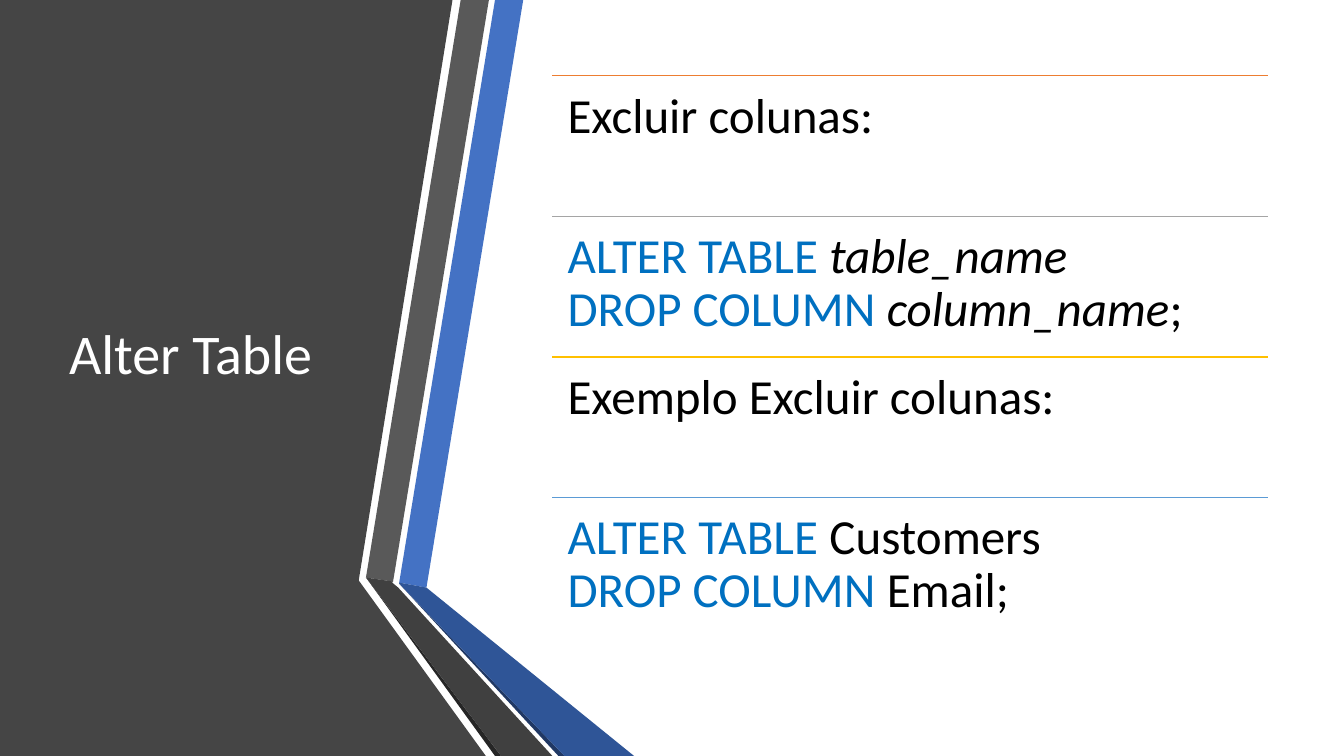
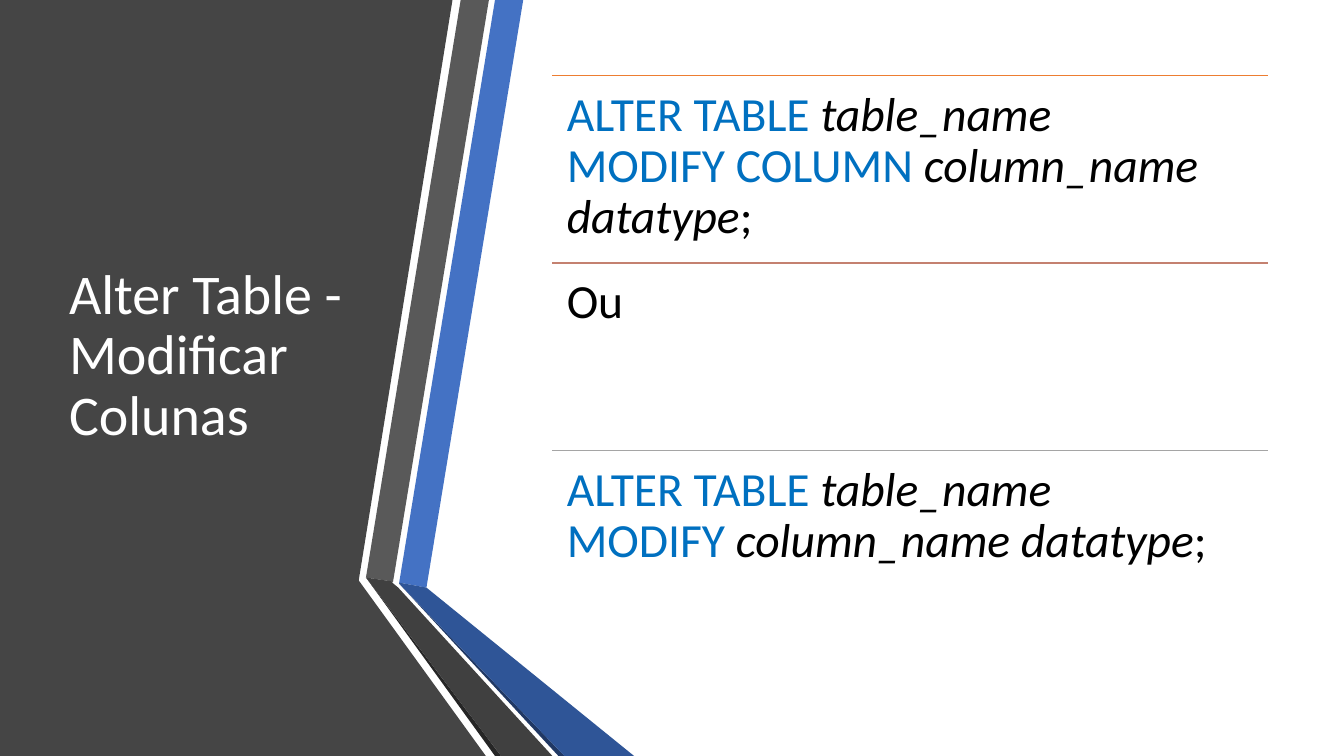
from pptx import Presentation, util as u
from pptx.dml.color import RGBColor
from pptx.enum import shapes, text
from lxml import etree

WHITE = RGBColor(0xFF, 0xFF, 0xFF)
BLACK = RGBColor(0x00, 0x00, 0x00)
CODE_BLUE = RGBColor(0x00, 0x70, 0xC0)
PANEL = RGBColor(0x45, 0x45, 0x45)
BLUE = RGBColor(0x44, 0x72, 0xC4)
DARK_BLUE = RGBColor(0x2F, 0x55, 0x97)
NAVY = RGBColor(0x20, 0x38, 0x64)
GRAY = RGBColor(0x59, 0x59, 0x59)
DARK_GRAY = RGBColor(0x40, 0x40, 0x40)
CHARCOAL = RGBColor(0x26, 0x26, 0x26)
ORANGE = RGBColor(0xED, 0x7D, 0x31)
SILVER = RGBColor(0xA5, 0xA5, 0xA5)
GOLD = RGBColor(0xFF, 0xC0, 0x00)
SKY = RGBColor(0x5B, 0x9B, 0xD5)
ROSE = RGBColor(0xC4, 0x81, 0x70)

FONT = "Calibri"

# All lengths are percentages of the slide's width (x) or height (y).
TOP, HEIGHT = 10, 74.4
TITLE_LEFT, TITLE_WIDTH = 4.4, 22.8
BODY_LEFT, BODY_WIDTH = 41.1, 53.25

RIBBONS = [
    (PANEL, [(0, 0), (33.67, 0), (26.7, 76.7), (26.7, 76.8), (36.15, 100), (0, 100)]),
    (BLUE, [(29.7, 77.07), (31.73, 77.73), (38.93, 0), (36.83, 0)]),
    (GRAY, [(36.38, 0), (34.28, 0), (27.23, 76.4), (29.25, 76.93)]),
    (CHARCOAL, [(27.23, 76.4), (36.83, 100), (37.28, 100)]),
    (NAVY, [(29.7, 77.2), (41.55, 100), (42, 100)]),
    (DARK_BLUE, [(29.7, 77.2), (42, 100), (47.18, 100), (31.73, 77.73), (29.7, 77.07)]),
    (DARK_GRAY, [(41.1, 100), (29.63, 77.73), (29.18, 77.07), (29.25, 76.93),
                 (27.23, 76.4), (37.28, 100)]),
]


def write(p, content, size=35, color=BLACK, italic=False):
    """Add text to a paragraph, turning newlines into line breaks."""
    for i, part in enumerate(content.split("\n")):
        if i:
            p.add_line_break()
        if part:
            r = p.add_run()
            r.text = part
            r.font.name, r.font.size = FONT, u.Pt(size)
            r.font.color.rgb, r.font.italic = color, italic


class Deck:
    """Holds the presentation, its style and the current slide."""

    def __init__(self):
        self.prs = Presentation()
        self.prs.slide_width, self.prs.slide_height = u.Inches(13.33), u.Inches(7.5)
        self.s = None

    def x(self, share):
        return u.Emu(round(self.prs.slide_width * share / 100))

    def y(self, share):
        return u.Emu(round(self.prs.slide_height * share / 100))

    def new_slide(self, title):
        self.s = self.prs.slides.add_slide(self.prs.slide_layouts[6])
        for color, points in RIBBONS:
            self.ribbon(color, points)
        p = self.box(TITLE_LEFT, TOP, TITLE_WIDTH, HEIGHT, anchor=text.MSO_ANCHOR.MIDDLE)
        write(p, title, size=40, color=WHITE)

    def ribbon(self, color, points):
        start, *rest = [(self.x(px), self.y(py)) for px, py in points]
        builder = self.s.shapes.build_freeform(*start)
        builder.add_line_segments(rest, close=True)
        sp = builder.convert_to_shape()
        sp.shadow.inherit = False
        sp.fill.solid()
        sp.fill.fore_color.rgb = color
        sp.line.fill.background()

    def box(self, left, top, width, height, anchor=text.MSO_ANCHOR.TOP, inset=None):
        """Add a text box and return its first paragraph."""
        sp = self.s.shapes.add_textbox(self.x(left), self.y(top), self.x(width), self.y(height))
        tf = sp.text_frame
        tf.word_wrap, tf.vertical_anchor = True, anchor
        if inset is not None:
            tf.margin_left = tf.margin_top = tf.margin_right = tf.margin_bottom = self.y(inset)
        p = tf.paragraphs[0]
        p.line_spacing = 0.9
        return p

    def rule(self, top, color):
        line = self.s.shapes.add_connector(
            shapes.MSO_CONNECTOR.STRAIGHT, self.x(BODY_LEFT), self.y(top),
            self.x(BODY_LEFT + BODY_WIDTH), self.y(top))
        line.line.color.rgb, line.line.width = color, u.Pt(1)
        props = line._element.spPr
        etree.SubElement(props, props.nsmap["a"].join("{}") + "effectLst")

    def ruled_rows(self, rows, size, inset):
        """Share the body height equally among rows of (rule colour, runs)."""
        step = HEIGHT / len(rows)
        for i, (color, runs) in enumerate(rows):
            top = TOP + i * step
            self.rule(top, color)
            p = self.box(BODY_LEFT, top, BODY_WIDTH, step, inset=inset)
            for content, style in runs:
                write(p, content, size=size, **style)


PLAIN = {}
KEYWORD = {"color": CODE_BLUE}
NAME = {"italic": True}
ALTER = [("ALTER TABLE ", KEYWORD), ("table_name\n", NAME)]
DATATYPE = [("column_name datatype", NAME), (";", PLAIN)]


def main():
    deck = Deck()
    deck.new_slide("Alter Table")
    deck.ruled_rows([
        (ORANGE, [("Excluir colunas:", PLAIN)]),
        (SILVER, ALTER + [("DROP COLUMN ", KEYWORD), ("column_name", NAME), (";", PLAIN)]),
        (GOLD, [("Exemplo Excluir colunas:", PLAIN)]),
        (SKY, [("ALTER TABLE ", KEYWORD), ("Customers\n", PLAIN),
               ("DROP COLUMN ", KEYWORD), ("Email;", PLAIN)]),
    ], size=35, inset=2)

    deck.new_slide("Alter Table - Modificar Colunas")
    deck.ruled_rows([
        (ORANGE, ALTER + [("MODIFY COLUMN ", KEYWORD)] + DATATYPE),
        (ROSE, [("Ou", PLAIN)]),
        (SILVER, ALTER + [("MODIFY ", KEYWORD)] + DATATYPE),
    ], size=34, inset=1.9)
    deck.prs.save("out.pptx")


if __name__ == "__main__":
    main()
